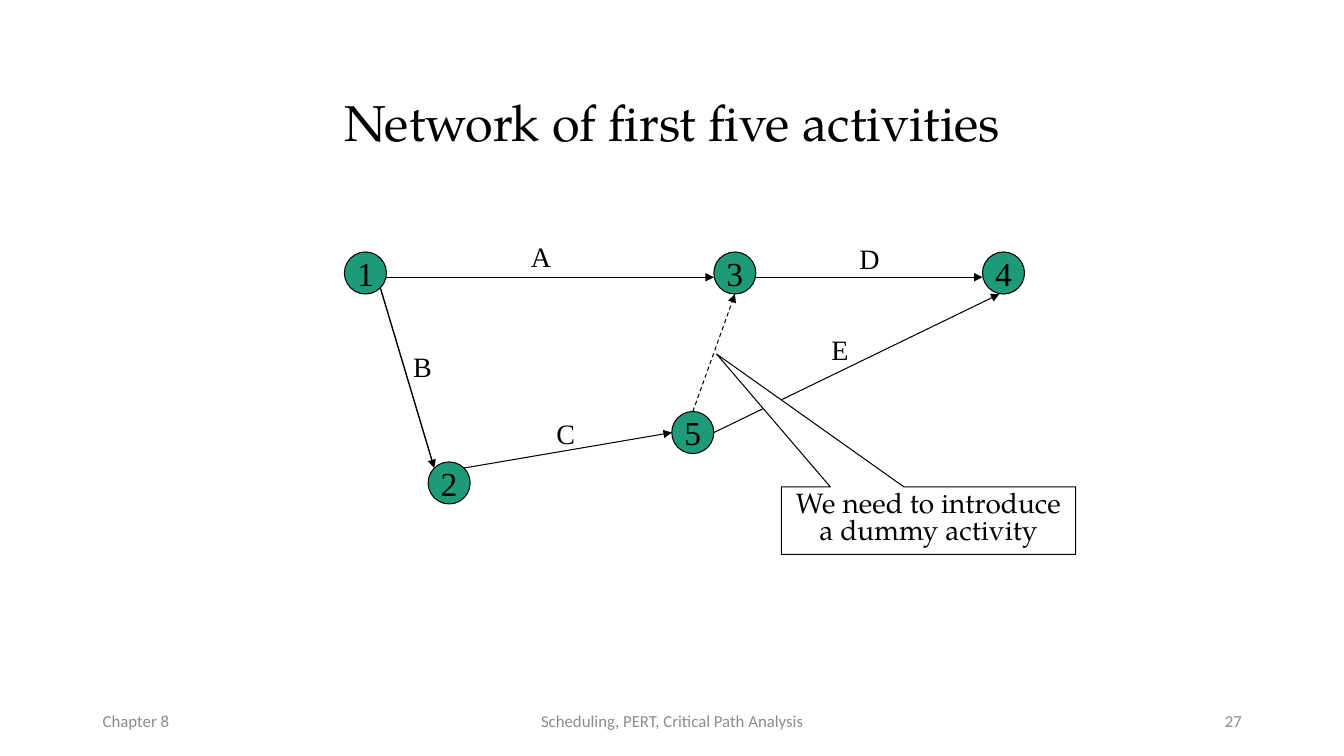
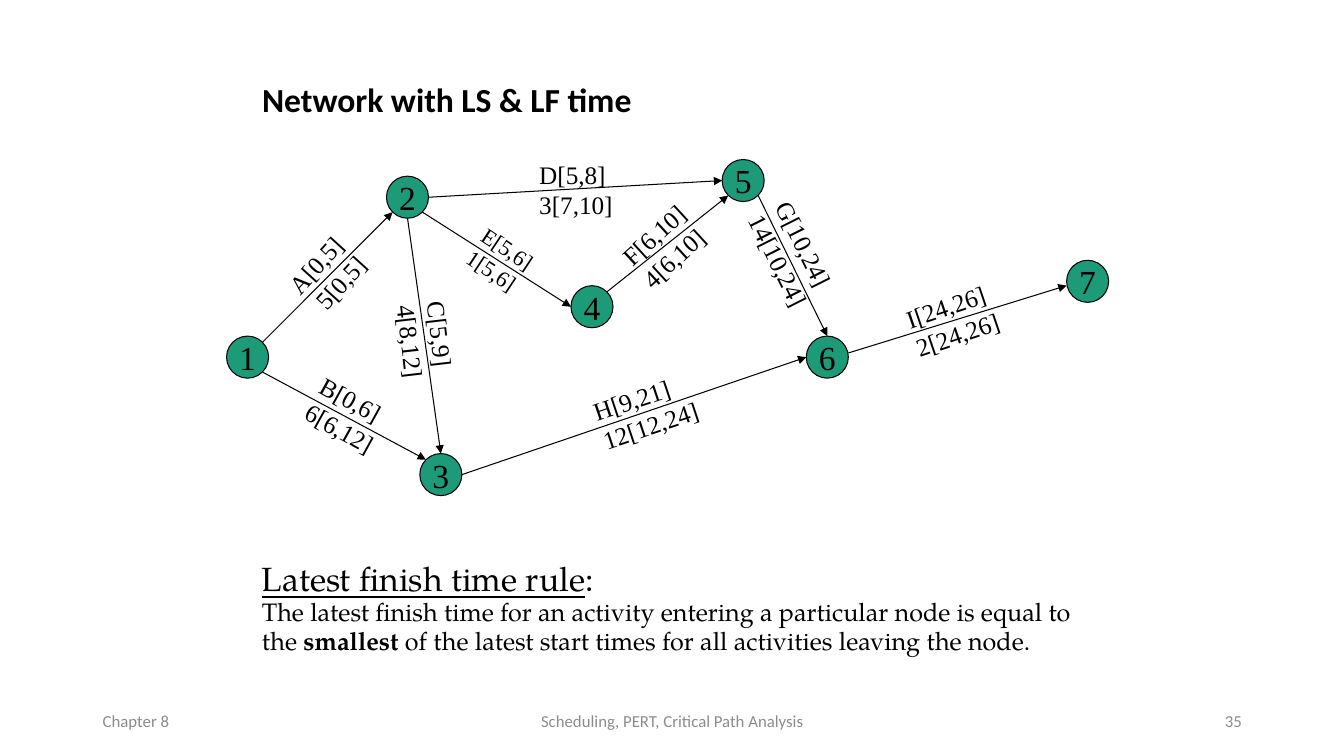
from lxml.etree import SubElement
from pptx import Presentation
from pptx.dml.color import RGBColor
from pptx.enum.dml import MSO_LINE
from pptx.enum.shapes import MSO_CONNECTOR, MSO_SHAPE
from pptx.enum.text import MSO_ANCHOR, MSO_AUTO_SIZE, PP_ALIGN
from pptx.oxml.ns import qn
from pptx.util import Cm, Pt

BLACK = RGBColor(0x00, 0x00, 0x00)
WHITE = RGBColor(0xFF, 0xFF, 0xFF)
GREEN = RGBColor(0x1D, 0x9A, 0x78)
GRAY = RGBColor(0x8C, 0x8C, 0x8C)
SERIF, BOOK, SANS = "Times New Roman", "TeX Gyre Pagella", "Calibri"
LEFT, MID, RIGHT = PP_ALIGN.LEFT, PP_ALIGN.CENTER, PP_ALIGN.RIGHT

# Points on a node's rim, in radii from its centre
RIM = {
    "n": (0, -1), "ne": (0.71, -0.71), "e": (1, 0), "se": (0.71, 0.71),
    "s": (0, 1), "sw": (-0.71, 0.71), "w": (-1, 0), "nw": (-0.71, -0.71),
    "e low": (1, 0.2), "e high": (1, -0.2), "w low": (-1, 0.2),
    "s left": (-0.2, 1),
}
RADIUS = 0.53
INDENT = 0.16

# Footer: text (None is the page number), left, width, alignment
FOOT = [
    ("Chapter 8", 2.34, 7.62, LEFT),
    ("Scheduling, PERT, Critical Path Analysis", 11.23, 11.43, MID),
    (None, 23.93, 7.62, RIGHT),
]

# Nodes: centre in cm. Edges: node, rim, node, rim, line width, dashed.
# Labels: lines, left, top, width, turn, size, indents of the lines.
FIRST = {
    "title": "Network of first five activities",
    "box": (6.15, 2.11, 21.59, 2.11),
    "style": (BOOK, 36, False, MID),
    "page": 27,
    "nodes": {1: (9.21, 6.88), 2: (11.32, 12.17), 3: (18.52, 6.88),
              4: (25.29, 6.88), 5: (17.46, 10.9)},
    "edges": [
        (1, "e low", 3, "w low", 1, False),
        (3, "e low", 4, "w low", 1, False),
        (1, "se", 2, "nw", 1, False),
        (2, "ne", 5, "w", 0.75, False),
        (5, "n", 3, "s", 0.75, True),
        (5, "e", 4, "s left", 0.75, False),
    ],
    "labels": [
        (["A"], 13.13, 5.92, 1.1, 0, 20, [0]),
        (["B"], 10.16, 8.69, 1.1, 0, 20, [0]),
        (["C"], 13.77, 10.36, 1.1, 0, 20, [0]),
        (["D"], 21.41, 5.97, 1.1, 0, 20, [0]),
        (["E"], 20.7, 8.26, 1.1, 0, 20, [0]),
    ],
}
SECOND = {
    "title": "Network with LS & LF time",
    "box": (6.35, 1.7, 21.59, 1.7),
    "style": (SANS, 24, True, LEFT),
    "page": 35,
    "nodes": {1: (6.24, 9), 2: (10.27, 4.97), 3: (11.11, 11.96),
              4: (14.92, 7.73), 5: (18.73, 4.55), 6: (20.85, 9),
              7: (27.41, 7.09)},
    "edges": [
        (1, "ne", 2, "sw", 0.75, False),
        (1, "se", 3, "nw", 0.75, False),
        (2, "s", 3, "n", 0.75, False),
        (2, "se", 4, "w", 0.75, False),
        (2, "e", 5, "w", 0.75, False),
        (4, "ne", 5, "sw", 0.75, False),
        (5, "se", 6, "n", 0.75, False),
        (3, "e", 6, "w", 0.75, False),
        (6, "e high", 7, "w low", 0.75, False),
    ],
    "labels": [
        (["A[0,5]", "5[0,5]"], 7.11, 5.97, 2.36, 312.2, 18, [0, INDENT]),
        (["B[0,6]", "6[6,12]"], 7.42, 9.53, 2.54, 29, 18, [INDENT, INDENT]),
        (["C[5,9]", "4[8,12]"], 9.47, 7.77, 2.54, 83.4, 18, [0, 0]),
        (["D[5,8]", "3[7,10]"], 13.34, 3.89, 2.74, 0, 18, [0, 0]),
        (["E[5,6]", "1[5,6]"], 11.58, 5.79, 2.16, 33.6, 16, [0, 0]),
        (["F[6,10]", "4[6,10]"], 15.52, 5.28, 2.49, 317.5, 18, [0, 0]),
        (["G[10,24]", "14[10,24]"], 18.4, 5.61, 3.23, 63.3, 18, [0, 0]),
        (["H[9,21]", "12[12,24]"], 14.61, 9.42, 3.56, 341.5, 18,
         [INDENT, INDENT]),
        (["I[24,26]", "2[24,26]"], 22.66, 7.11, 3.1, 341.3, 18, [0, 0]),
    ],
}
NOTE = "We need to introduce a dummy activity"

# Paragraphs of the rule: size, line spacing, runs of (text, mark)
RULE = [
    (24, 0.85, [("Latest finish time rule", "u"), (":", "")]),
    (18, 0.95, [
        ("The latest finish time for an activity entering a particular node "
         "is equal to the ", ""),
        ("smallest", "b"),
        (" of the latest start times for all activities leaving the node.",
         ""),
    ]),
]


def style(para, face, size, color=BLACK, align=LEFT):
    para.alignment = align
    para.font.name, para.font.size = face, Pt(size)
    para.font.color.rgb = color


def add_box(slide, left, top, width, height):
    box = slide.shapes.add_textbox(Cm(left), Cm(top), Cm(width), Cm(height))
    box.text_frame.word_wrap = True
    return box


def add_form(slide, kind, left, top, width, height, fill):
    form = slide.shapes.add_shape(
        kind, Cm(left), Cm(top), Cm(width), Cm(height))
    form.shadow.inherit = False
    form.fill.solid()
    form.fill.fore_color.rgb = fill
    form.line.color.rgb = BLACK
    form.line.width = Pt(0.75)
    return form


def add_node(slide, name, spot):
    left, top = (v - RADIUS for v in spot)
    node = add_form(slide, MSO_SHAPE.OVAL, left, top,
                    2 * RADIUS, 2 * RADIUS, GREEN)
    frame = node.text_frame
    frame.word_wrap = False
    frame.vertical_anchor = MSO_ANCHOR.MIDDLE
    frame.text = str(name)
    style(frame.paragraphs[0], SERIF, 24, align=MID)


def add_edge(slide, nodes, edge):
    tail, out, head, into, width, dashed = edge
    ends = [Cm(c + RADIUS * d)
            for node, rim in ((tail, out), (head, into))
            for c, d in zip(nodes[node], RIM[rim])]
    arrow = slide.shapes.add_connector(MSO_CONNECTOR.STRAIGHT, *ends)
    arrow.line.color.rgb = BLACK
    arrow.line.width = Pt(width)
    if dashed:
        arrow.line.dash_style = MSO_LINE.DASH
    props = arrow._element.spPr
    SubElement(props.find(qn("a:ln")), qn("a:tailEnd"), type="triangle")
    SubElement(props, qn("a:effectLst"))


def add_label(slide, lines, left, top, width, turn, size, indents):
    box = add_box(slide, left, top, width, 1.1 if len(lines) == 1 else 1.78)
    box.rotation = turn
    frame = box.text_frame
    frame.text = "\n".join(lines)
    for para, indent in zip(frame.paragraphs, indents):
        style(para, SERIF, size)
        if indent:
            para._p.get_or_add_pPr().set("marL", str(Cm(indent)))


def add_page(deck, data):
    """Add a slide with its title, footer and network."""
    slide = deck.slides.add_slide(deck.slide_layouts.get_by_name("Title Only"))
    title = slide.shapes.title
    title.left, title.top, title.width, title.height = map(Cm, data["box"])
    frame = title.text_frame
    frame.text = data["title"]
    frame.auto_size = MSO_AUTO_SIZE.NONE
    frame.vertical_anchor = MSO_ANCHOR.MIDDLE
    face, size, bold, align = data["style"]
    para = frame.paragraphs[0]
    style(para, face, size, align=align)
    para.font.bold = bold
    para.line_spacing = 0.9

    for text, left, width, align in FOOT:
        frame = add_box(slide, left, 17.65, width, 1.02).text_frame
        frame.vertical_anchor = MSO_ANCHOR.MIDDLE
        frame.text = text or str(data["page"])
        style(frame.paragraphs[0], SANS, 12, GRAY, align)

    for name, spot in data["nodes"].items():
        add_node(slide, name, spot)
    for edge in data["edges"]:
        add_edge(slide, data["nodes"], edge)
    for label in data["labels"]:
        add_label(slide, *label)
    return slide


def add_note(slide):
    note = add_form(slide, MSO_SHAPE.RECTANGULAR_CALLOUT,
                    19.69, 12.27, 7.42, 1.7, WHITE)
    note.adjustments[0], note.adjustments[1] = -0.72, -2.47
    frame = note.text_frame
    frame.word_wrap = True
    frame.vertical_anchor = MSO_ANCHOR.TOP
    frame.text = NOTE
    style(frame.paragraphs[0], BOOK, 20, align=MID)
    frame.paragraphs[0].line_spacing = 0.8


def add_rule(slide):
    frame = add_box(slide, 6.35, 14.1, 21.16, 2.64).text_frame
    for i, (size, space, runs) in enumerate(RULE):
        para = frame.add_paragraph() if i else frame.paragraphs[0]
        style(para, BOOK, size)
        para.line_spacing = space
        for text, mark in runs:
            run = para.add_run()
            run.text = text
            if mark == "u":
                run.font.underline = True
            elif mark == "b":
                run.font.bold = True


def main():
    deck = Presentation()
    deck.slide_width, deck.slide_height = Cm(33.87), Cm(19.05)
    add_note(add_page(deck, FIRST))
    add_rule(add_page(deck, SECOND))
    deck.save("out.pptx")


if __name__ == "__main__":
    main()
